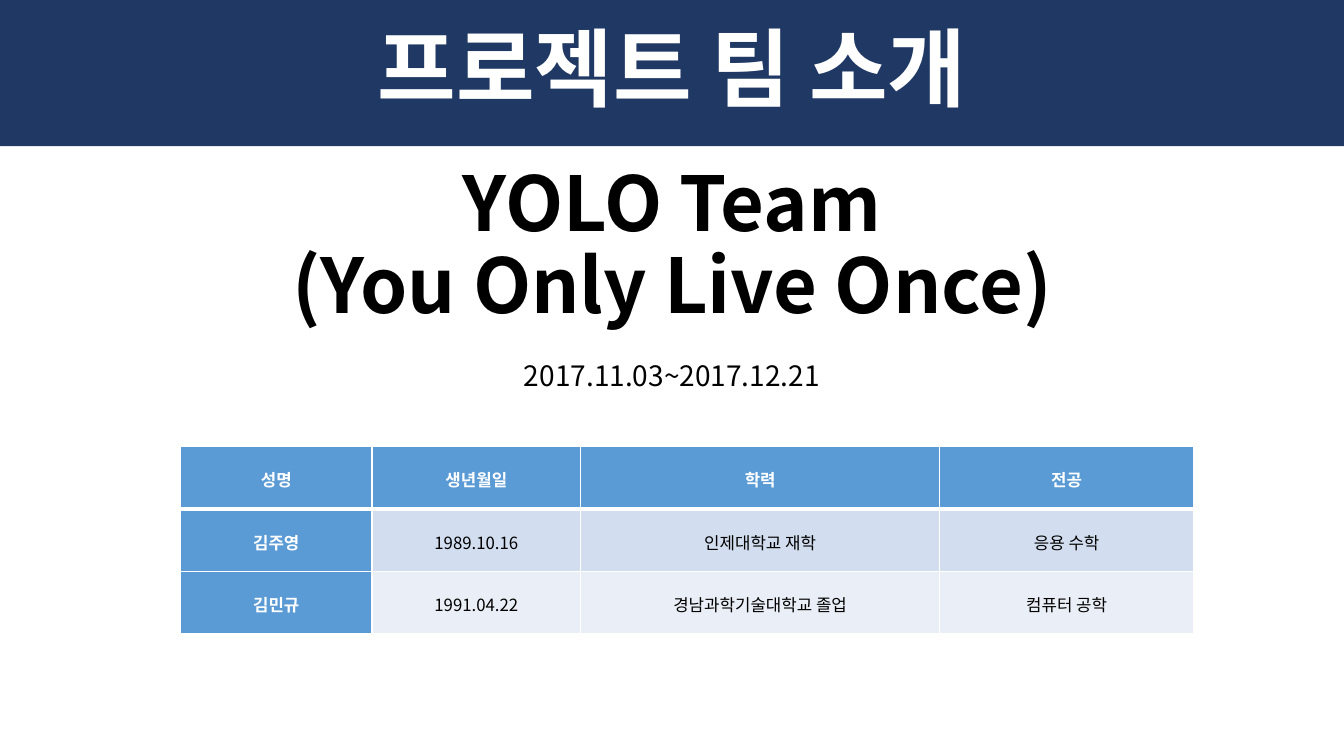
from lxml.etree import SubElement
from pptx import Presentation
from pptx.dml.color import RGBColor
from pptx.enum.shapes import MSO_SHAPE
from pptx.enum.text import MSO_ANCHOR, PP_ALIGN
from pptx.oxml.ns import qn
from pptx.util import Inches, Pt

# Content
TITLE = "프로젝트 팀 소개"
TEAM = ["YOLO Team", "(You Only Live Once)"]
DATES = "2017.11.03~2017.12.21"
ROWS = [
    ("성명", "생년월일", "학력", "전공"),
    ("김주영", "1989.10.16", "인제대학교 재학", "응용 수학"),
    ("김민규", "1991.04.22", "경남과학기술대학교 졸업", "컴퓨터 공학"),
]
WIDTHS = [1.9, 2.07, 3.56, 2.52]
ROW_H = 0.62

THEME = {
    "font": "Noto Sans CJK KR",
    "navy": "203864", "blue": "5B9BD5", "white": "FFFFFF", "black": "000000",
    "bands": ["D2DEEF", "EAEFF7"],
    "title": 61, "team": 54, "dates": 20, "cell": 12,
}


def paint(fill, color):
    fill.solid()
    fill.fore_color.rgb = RGBColor.from_string(color)


def style(para, size, color, bold, lead=0.9):
    para.alignment = PP_ALIGN.CENTER
    para.line_spacing = lead
    font = para.font
    font.name, font.size, font.bold = THEME["font"], Pt(size), bold
    font.color.rgb = RGBColor.from_string(color)
    # Hangul takes its face from the East Asian font
    props = para._p.pPr.find(qn("a:defRPr"))
    SubElement(props, qn("a:ea")).set("typeface", THEME["font"])


def border(cell, side, width):
    line = SubElement(cell._tc.get_or_add_tcPr(), qn("a:" + side))
    line.set("w", str(Pt(width)))
    fill = SubElement(line, qn("a:solidFill"))
    SubElement(fill, qn("a:srgbClr")).set("val", THEME["white"])


deck = Presentation()
deck.slide_width, deck.slide_height = Inches(13.33), Inches(7.5)
slide = deck.slides.add_slide(deck.slide_layouts[6])
shapes = slide.shapes

# Title band
band = shapes.add_shape(MSO_SHAPE.RECTANGLE, 0, 0, deck.slide_width, Inches(1.45))
band.shadow.inherit = False
paint(band.fill, THEME["navy"])
band.line.fill.background()
frame = band.text_frame
frame.vertical_anchor = MSO_ANCHOR.MIDDLE
frame.text = TITLE
style(frame.paragraphs[0], THEME["title"], THEME["white"], True)

# Team name and dates
box = shapes.add_textbox(0, Inches(1.44), deck.slide_width, Inches(2.66))
frame = box.text_frame
frame.word_wrap = True
frame.vertical_anchor = MSO_ANCHOR.MIDDLE
frame.text = "\n".join(TEAM + [DATES])
*names, dates = frame.paragraphs
for para in names:
    style(para, THEME["team"], THEME["black"], True)
style(dates, THEME["dates"], THEME["black"], False)
dates.space_before = Pt(23)

# Member table
table = shapes.add_table(
    len(ROWS), len(WIDTHS), Inches(1.79), Inches(4.43),
    Inches(sum(WIDTHS)), Inches(ROW_H * len(ROWS))).table
for col, width in zip(table.columns, WIDTHS):
    col.width = Inches(width)
for r, row in enumerate(ROWS):
    table.rows[r].height = Inches(ROW_H)
    for c, text in enumerate(row):
        cell = table.cell(r, c)
        head = r == 0 or c == 0
        cell.text = text
        cell.vertical_anchor = MSO_ANCHOR.MIDDLE
        cell.margin_left = cell.margin_right = Inches(0.07)
        cell.margin_top = cell.margin_bottom = 0
        style(cell.text_frame.paragraphs[0], THEME["cell"],
              THEME["white" if head else "black"], head, 1.15)
        # Borders come before the fill in the cell properties
        for side in ("lnL", "lnR", "lnT", "lnB"):
            thick = (r, side) in ((0, "lnB"), (1, "lnT"))
            border(cell, side, 3 if thick else 1)
        paint(cell.fill, THEME["blue"] if head else THEME["bands"][r - 1])

deck.save("out.pptx")
